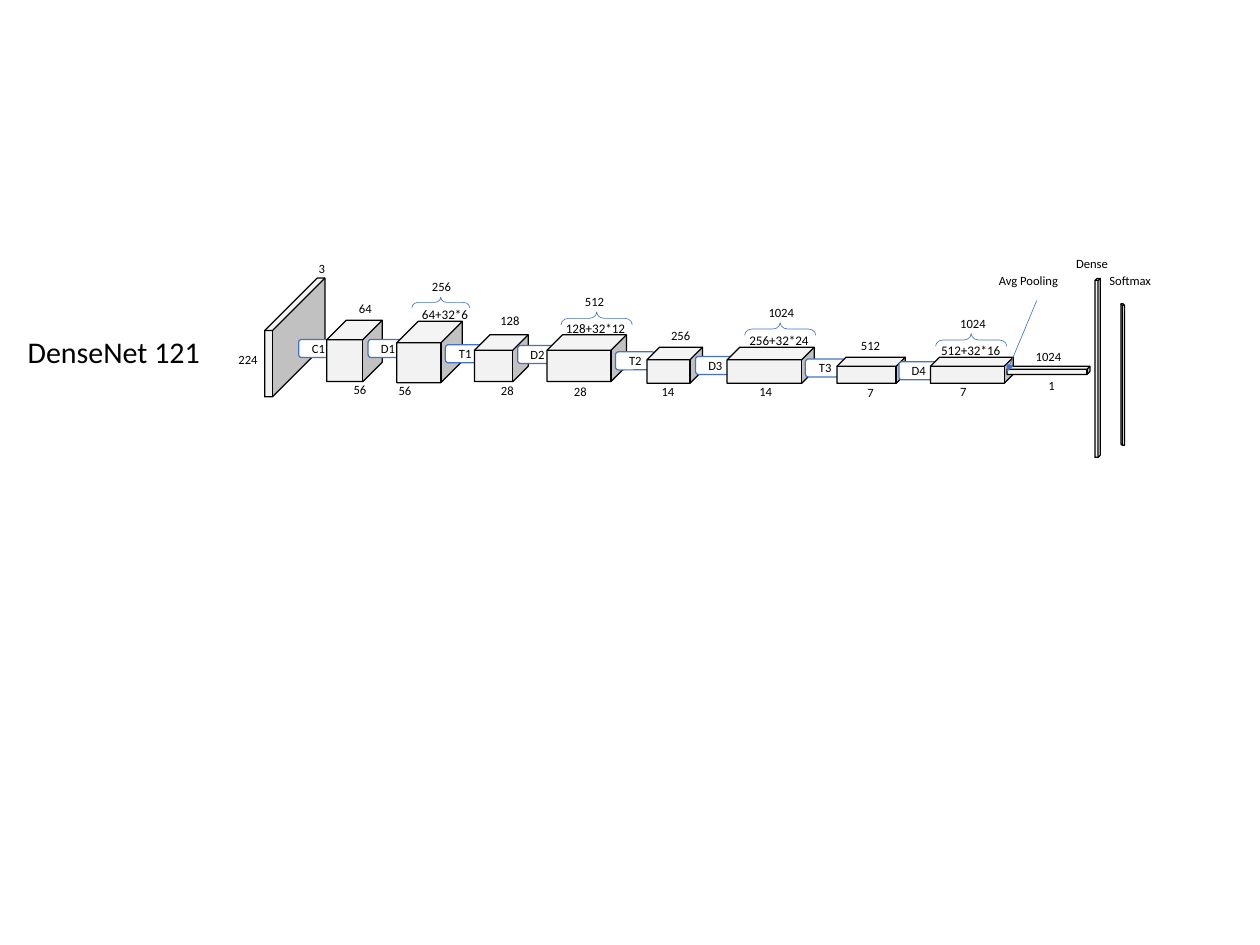
"""Draw the layers of a DenseNet 121 network as a row of blocks."""
from lxml import etree
from pptx import Presentation
from pptx.dml.color import RGBColor
from pptx.enum.shapes import MSO_CONNECTOR, MSO_SHAPE
from pptx.enum.text import MSO_ANCHOR, MSO_AUTO_SIZE, PP_ALIGN
from pptx.oxml.ns import qn
from pptx.util import Cm, Pt

CUBE = MSO_SHAPE.CUBE
ROUND = MSO_SHAPE.ROUNDED_RECTANGLE
BRACE = MSO_SHAPE.RIGHT_BRACE
STRAIGHT = MSO_CONNECTOR.STRAIGHT
GROW = MSO_AUTO_SIZE.SHAPE_TO_FIT_TEXT
MIDDLE = MSO_ANCHOR.MIDDLE
CENTER = PP_ALIGN.CENTER
BLACK = RGBColor(0, 0, 0)
WHITE = RGBColor(255, 255, 255)
GREY = RGBColor(0xF2, 0xF2, 0xF2)
BLUE = RGBColor(0x44, 0x72, 0xC4)
FONT = "Calibri"
SMALL = 10.1


def draw(target, kind, box, fill, color, width):
    shape = target.add_shape(kind, *map(Cm, box))
    shape.shadow.inherit = False
    if fill is None:
        shape.fill.background()
    else:
        shape.fill.solid()
        shape.fill.fore_color.rgb = fill
    shape.line.color.rgb = color
    shape.line.width = Pt(width)
    return shape


def write(target, text, box, size=SMALL, wrap=False):
    frame = target.add_textbox(*map(Cm, box)).text_frame
    frame.word_wrap = wrap
    frame.auto_size = GROW
    para = frame.paragraphs[0]
    para.text = text
    para.font.size = Pt(size)
    para.font.name = FONT
    para.font.color.rgb = BLACK


deck = Presentation()
deck.slide_width = Cm(35.56)
deck.slide_height = Cm(26.67)
slide = deck.slides.add_slide(deck.slide_layouts[6])
shapes = slide.shapes

write(shapes, "DenseNet 121", (0.53, 9.3, 5.44, 1.27), 24)

bars = [((28.45, 10.31, 5.05, 0.15), True), ((29.69, 10.52, 3.99, 0.1), False)]
for box, flip in bars:
    bar = draw(shapes, CUBE, box, GREY, BLACK, 1)
    bar.adjustments[0] = 0.41
    bar.rotation = 270
    if flip:
        bar._element.spPr.find(qn("a:xfrm")).set("flipV", "1")

stages = [
    (None, None, (7.47, 7.85, 1.7, 3.35), 0.87),
    ("C1", (8.43, 9.58), (9.22, 9.04, 1.57, 1.73), 0.35),
    ("D1", (10.39, 9.58), (11.2, 9.07, 1.85, 1.73), 0.35),
    ("T1", (12.57, 9.73), (13.39, 9.45, 1.52, 1.32), 0.33),
    ("D2", (14.61, 9.75), (15.44, 9.45, 2.24, 1.32), 0.33),
    ("T2", (17.37, 9.93), (18.26, 9.8, 1.57, 1.02), 0.35),
    ("D3", (19.63, 10.06), (20.52, 9.8, 2.46, 1.02), 0.35),
    ("T3", (22.73, 10.13), (23.62, 10.08, 1.93, 0.74), 0.35),
    ("D4", (25.37, 10.21), (26.26, 10.08, 2.34, 0.74), 0.35),
    (None, None, (28.42, 10.34, 2.34, 0.23), 0.35),
]
for name, spot, box, depth in stages:
    if name:
        link = draw(shapes, ROUND, (*spot, 1.12, 0.51), WHITE, BLUE, 1)
        frame = link.text_frame
        frame.margin_left = frame.margin_right = Cm(0.18)
        frame.margin_top = frame.margin_bottom = Cm(0.1)
        frame.vertical_anchor = MIDDLE
        para = frame.paragraphs[0]
        para.text = name
        para.alignment = CENTER
        para.font.size = Pt(SMALL)
        para.font.name = FONT
        para.font.color.rgb = BLACK
    cube = draw(shapes, CUBE, box, GREY, BLACK, 1)
    cube.adjustments[0] = depth

sums = [
    ((12.29, 7.72, 0.3, 1.63), "64+32*6", (11.66, 8.51, 1.85), "256", (11.94, 7.75, 1.07)),
    ((16.66, 7.98, 0.36, 2.01), "128+32*12", (15.72, 8.92, 2.21), "512", (16.26, 8.18, 1.07)),
    ((21.84, 8.28, 0.36, 2.01), "256+32*24", (20.9, 9.25, 2.21), "1024", (21.44, 8.48, 1.24)),
    ((27.23, 8.59, 0.36, 2.01), "512+32*16", (26.31, 9.55, 2.21), "1024", (26.85, 8.79, 1.24)),
]
for box, terms, low, total, high in sums:
    group = shapes.add_group_shape().shapes
    brace = draw(group, BRACE, box, None, BLUE, 0.5)
    brace.adjustments[0] = 0.58
    brace.rotation = 270
    write(group, terms, (*low, 0.71), 10.5, terms != "64+32*6")
    write(group, total, (*high, 0.69))

labels = [
    ("Dense", 30.12, 7.09, 1.42, False),
    ("Softmax", 31.06, 7.59, 1.73, False),
    ("Avg Pooling", 27.94, 7.59, 2.24, False),
    ("3", 8.74, 7.24, 0.69, False),
    ("64", 9.88, 8.38, 0.89, False),
    ("128", 13.87, 8.71, 1.07, False),
    ("256", 18.69, 9.14, 1.07, False),
    ("512", 24.05, 9.4, 1.07, False),
    ("1024", 28.98, 9.73, 1.24, False),
    ("224", 6.48, 9.8, 1.24, True),
    ("56", 9.73, 10.64, 0.91, True),
    ("56", 11, 10.69, 0.91, True),
    ("28", 13.89, 10.67, 1.24, True),
    ("28", 15.95, 10.72, 0.91, True),
    ("14", 18.42, 10.72, 0.91, True),
    ("14", 21.18, 10.72, 0.91, True),
    ("7", 24.23, 10.74, 0.91, True),
    ("7", 26.85, 10.72, 0.69, False),
    ("1", 29.34, 10.54, 0.69, False),
]
for text, left, top, width, wrap in labels:
    write(shapes, text, (left, top, width, 0.69), wrap=wrap)

arrow = shapes.add_connector(STRAIGHT, Cm(29.26), Cm(8.48), Cm(28.42), Cm(10.49))
arrow.line.color.rgb = BLUE
arrow.line.width = Pt(0.5)
etree.SubElement(arrow.line._get_or_add_ln(), qn("a:tailEnd"), type="triangle")
etree.SubElement(arrow._element.spPr, qn("a:effectLst"))

deck.save("out.pptx")
